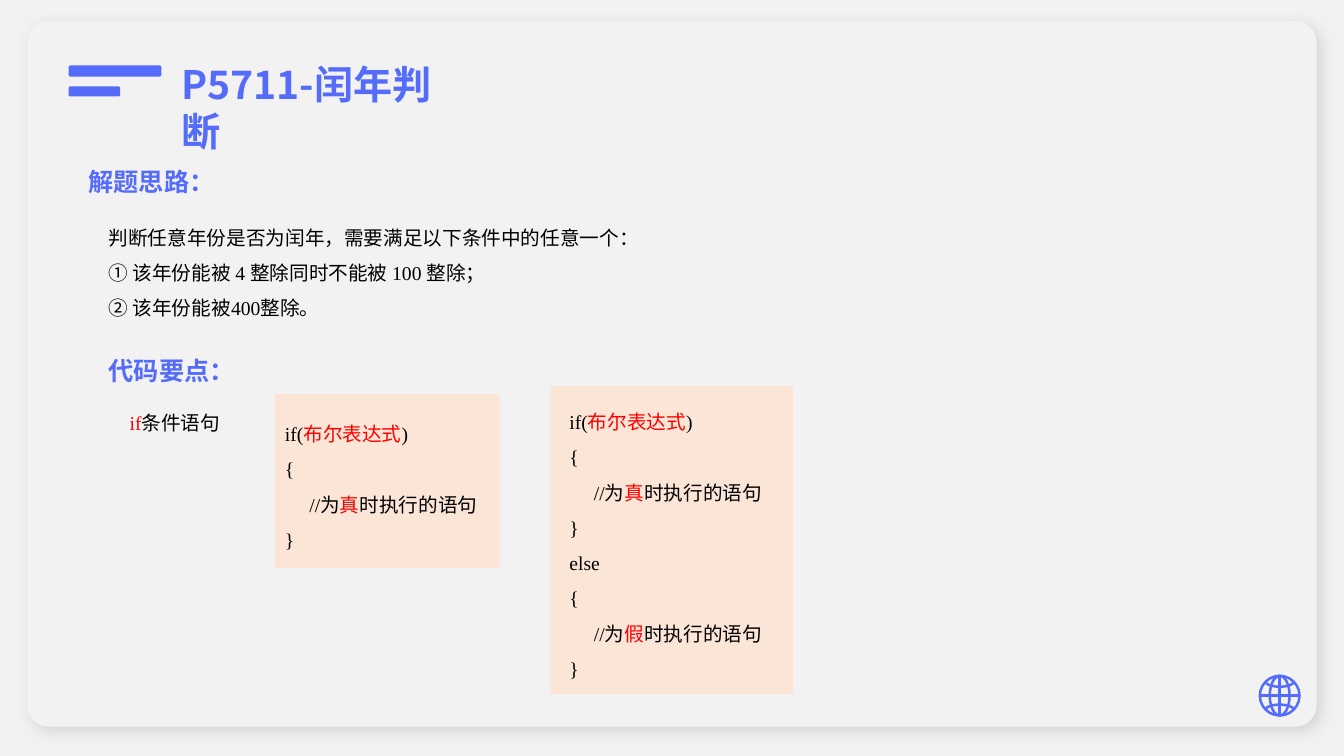
from dataclasses import dataclass
from math import cos, pi, sin
from typing import Optional

from lxml.etree import SubElement
from pptx import Presentation
from pptx.dml.color import RGBColor
from pptx.enum.shapes import MSO_CONNECTOR, MSO_SHAPE as Preset
from pptx.oxml.ns import qn
from pptx.util import Cm, Pt

BLUE, PAPER, PEACH = "556CFB", "F2F2F2", "FBE5D6"
BLACK, RED = "000000", "FF0000"
SANS, SERIF = "Noto Sans CJK SC", "Times New Roman"

Span = tuple[str, str]
Line = list[Span]


@dataclass(frozen=True)
class Area:
    left: float
    top: float
    width: float
    height: float

    def lengths(self) -> tuple[Cm, Cm, Cm, Cm]:
        return Cm(self.left), Cm(self.top), Cm(self.width), Cm(self.height)


@dataclass(frozen=True)
class Panel:
    area: Area
    fill: str
    preset: Preset = Preset.RECTANGLE
    corner: Optional[float] = None


@dataclass(frozen=True)
class TextBlock:
    area: Area
    lines: list[Line]
    size: int = 14
    font: str = SERIF
    bold: bool = False
    spacing: float = 1.5


def color(value: str) -> RGBColor:
    return RGBColor.from_string(value)


def draw_panel(page, panel: Panel):
    shape = page.shapes.add_shape(panel.preset, *panel.area.lengths())
    shape.shadow.inherit = False
    shape.fill.solid()
    shape.fill.fore_color.rgb = color(panel.fill)
    shape.line.fill.background()
    if panel.corner is not None:
        shape.adjustments[0] = panel.corner
    return shape


def cast_shadow(shape, tint: str) -> None:
    effects = shape._element.spPr.find(qn("a:effectLst"))
    shadow = SubElement(
        effects, qn("a:outerShdw"), blurRad=str(Pt(10)), dist=str(Pt(5)),
        dir=str(45 * 60000), algn="tl", rotWithShape="0")
    SubElement(shadow, qn("a:srgbClr"), val=tint)


def draw_text(page, block: TextBlock) -> None:
    box = page.shapes.add_textbox(*block.area.lengths())
    frame = box.text_frame
    frame.word_wrap = True
    for index, line in enumerate(block.lines):
        para = frame.paragraphs[0] if index == 0 else frame.add_paragraph()
        para.line_spacing = block.spacing
        para.font.size = Pt(block.size)
        para.font.name = block.font
        para.font.bold = block.bold
        for text, tint in line:
            span = para.add_run()
            span.text = text
            span.font.size = Pt(block.size)
            span.font.name = block.font
            span.font.bold = block.bold
            span.font.color.rgb = color(tint)
            SubElement(span._r.get_or_add_rPr(), qn("a:ea"), typeface=SANS)


def style_stroke(shape) -> None:
    shape.line.color.rgb = color(BLUE)
    shape.line.width = Pt(1.75)


def draw_globe(page, x: float, y: float, radius: float) -> None:
    for half_width in (radius, radius * 0.5):
        area = Area(x - half_width, y - radius, 2 * half_width, 2 * radius)
        ring = page.shapes.add_shape(Preset.OVAL, *area.lengths())
        ring.shadow.inherit = False
        ring.fill.background()
        style_stroke(ring)
    for dx, dy in ((radius, 0), (0, radius)):
        axis = page.shapes.add_connector(
            MSO_CONNECTOR.STRAIGHT, Cm(x - dx), Cm(y - dy), Cm(x + dx), Cm(y + dy))
        SubElement(axis._element.spPr, qn("a:effectLst"))
        style_stroke(axis)
    steps = 12
    for side in (-1, 1):
        points = []
        for step in range(steps + 1):
            angle = pi * step / steps
            points.append((
                Cm(x - 0.7 * radius * cos(angle)),
                Cm(y + side * radius * (0.7 - 0.25 * sin(angle)))))
        builder = page.shapes.build_freeform(*points[0], scale=1.0)
        builder.add_line_segments(points[1:], close=False)
        parallel = builder.convert_to_shape()
        parallel.shadow.inherit = False
        parallel.fill.background()
        style_stroke(parallel)


def branch(truth: str) -> list[Line]:
    return [
        [("{", BLACK)],
        [("     //为", BLACK), (truth, RED), ("时执行的语句", BLACK)],
        [("}", BLACK)],
    ]


CONDITION: Line = [("if(", BLACK), ("布尔表达式", RED), (")", BLACK)]
IF_CODE = [CONDITION, *branch("真")]
IF_ELSE_CODE = [*IF_CODE, [("else", BLACK)], *branch("假")]

CARD = Panel(Area(0.69, 0.53, 32.49, 17.78), PAPER, Preset.ROUNDED_RECTANGLE, 0.03)
PANELS = [
    Panel(Area(1.73, 1.65, 2.34, 0.28), BLUE, Preset.ROUNDED_RECTANGLE),
    Panel(Area(1.73, 2.18, 1.3, 0.25), BLUE, Preset.ROUNDED_RECTANGLE),
    Panel(Area(6.93, 9.93, 5.66, 4.39), PEACH),
    Panel(Area(13.87, 9.73, 6.12, 7.77), PEACH),
]
TEXTS = [
    TextBlock(Area(4.32, 1.4, 7.32, 1.45), [[("P5711-闰年判断", BLUE)]],
              28, SANS, True, 1.0),
    TextBlock(Area(1.98, 3.68, 30.56, 1.27), [[("解题思路：", BLUE)]], 18, SANS, True),
    TextBlock(Area(2.49, 8.46, 30.56, 1.27), [[("代码要点：", BLUE)]], 18, SANS, True),
    TextBlock(Area(2.49, 5.26, 15.54, 2.95), [
        [("判断任意年份是否为闰年，需要满足以下条件中的任意一个：", BLACK)],
        [("① 该年份能被 4 整除同时不能被 100 整除；", BLACK)],
        [("② 该年份能被400整除。", BLACK)],
    ]),
    TextBlock(Area(3.02, 9.93, 3.71, 1.14), [[("if", RED), ("条件语句", BLACK)]]),
    TextBlock(Area(6.93, 10.21, 5.66, 3.84), IF_CODE),
    TextBlock(Area(14.1, 9.91, 5.89, 7.44), IF_ELSE_CODE),
]


def main() -> None:
    deck = Presentation()
    deck.slide_width, deck.slide_height = Cm(33.87), Cm(19.05)
    page = deck.slides.add_slide(deck.slide_layouts[6])
    page.background.fill.solid()
    page.background.fill.fore_color.rgb = color(PAPER)
    cast_shadow(draw_panel(page, CARD), "D4D4D4")
    for panel in PANELS:
        draw_panel(page, panel)
    for block in TEXTS:
        draw_text(page, block)
    draw_globe(page, 32.25, 17.53, 0.5)
    deck.save("out.pptx")


if __name__ == "__main__":
    main()
